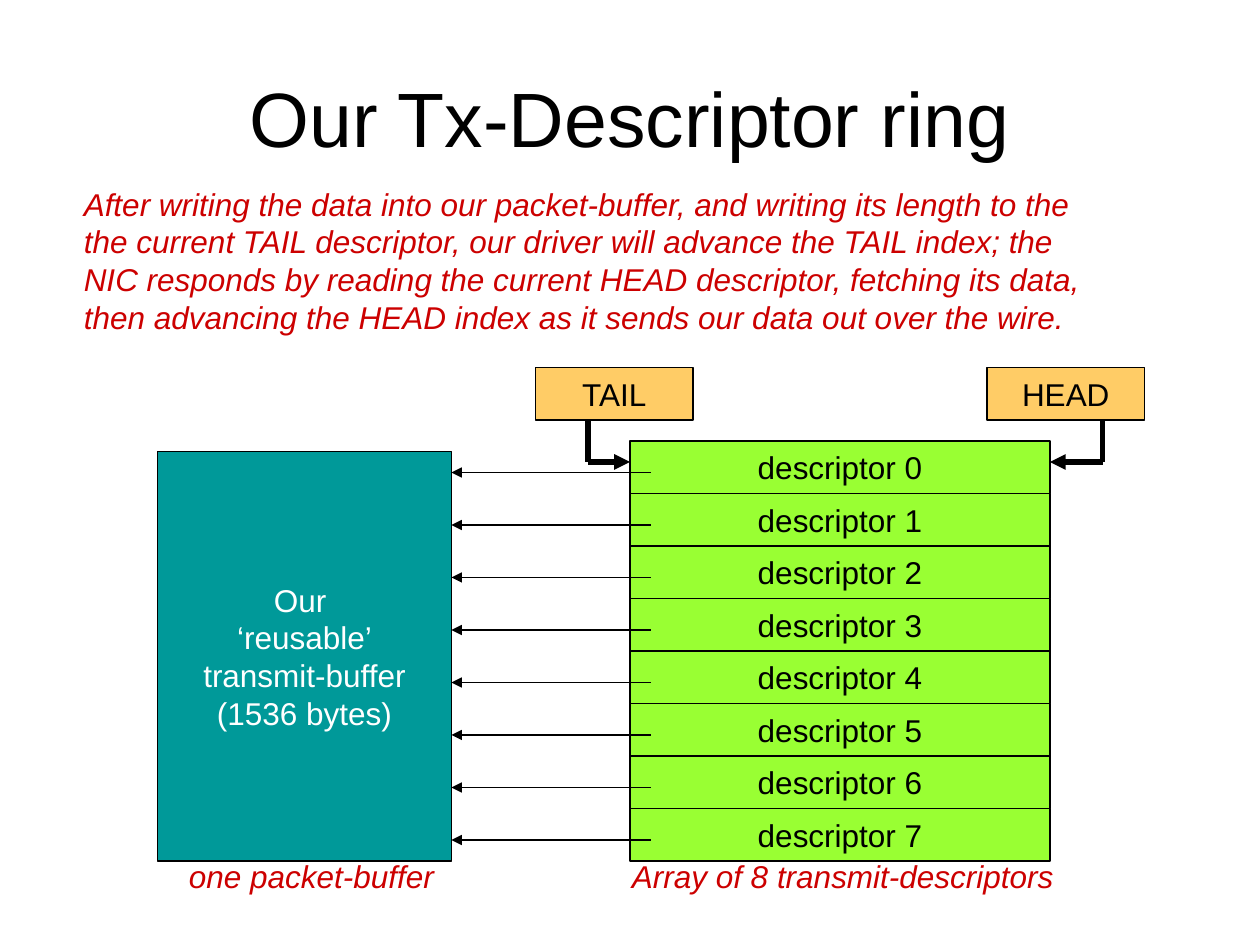
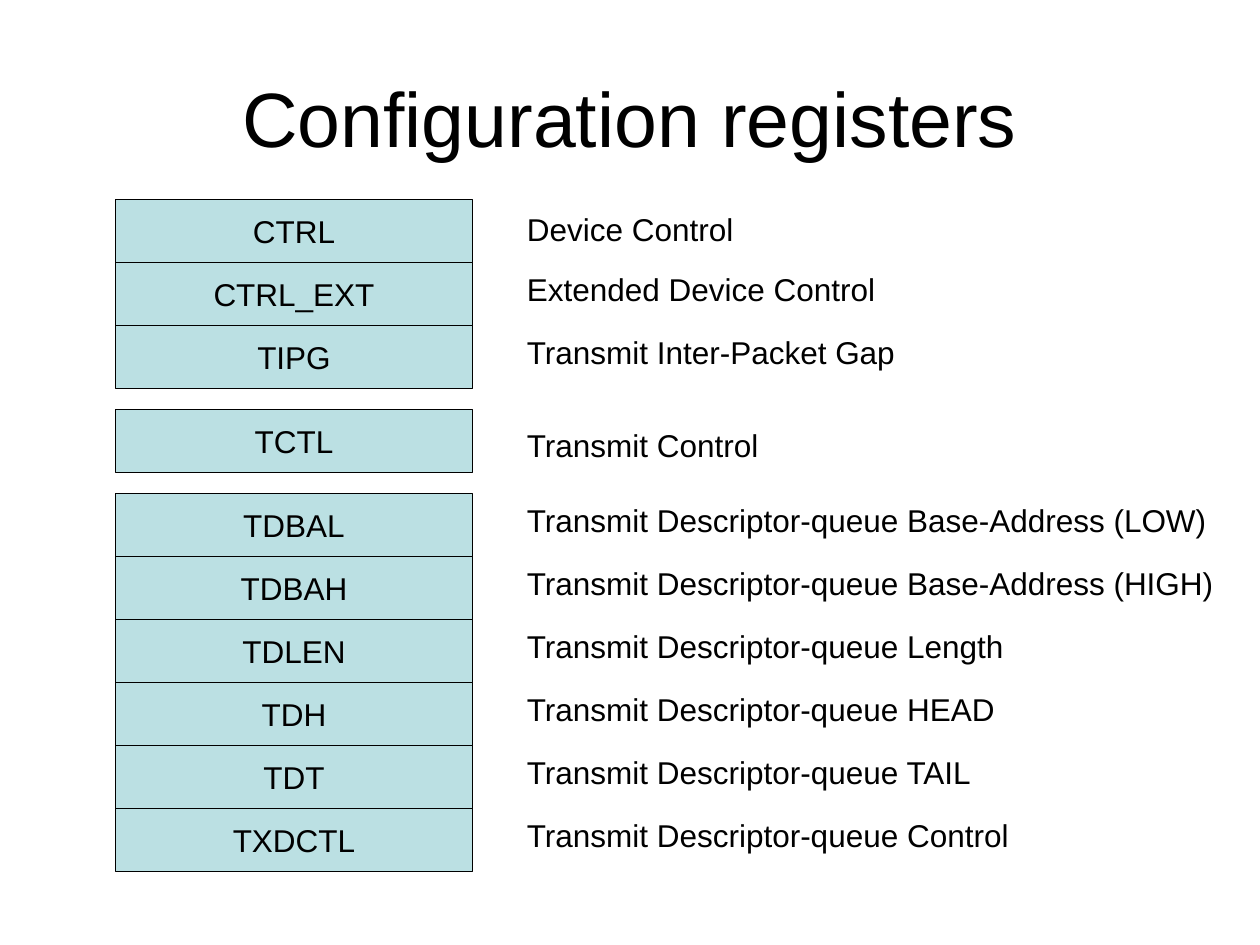
from dataclasses import dataclass

from lxml.etree import SubElement
from pptx import Presentation
from pptx.dml.color import RGBColor
from pptx.enum.shapes import MSO_CONNECTOR, MSO_SHAPE
from pptx.enum.text import MSO_ANCHOR, PP_ALIGN
from pptx.oxml.ns import qn
from pptx.util import Inches, Pt

COLORS = {
    "ink": "000000",
    "paper": "FFFFFF",
    "note": "CC0000",
    "descriptor": "99FF33",
    "buffer": "009999",
    "index": "FFCC66",
    "register": "BBE0E3",
}
FONT = "Arial"
BODY_SIZE = 18
TITLE_SIZE = 44
SLIDE_WIDTH = Inches(10)
SLIDE_HEIGHT = Inches(7.5)
GRID_COLUMNS = 120
GRID_ROWS = 90
CAPTION_ROWS = 4.8


@dataclass(frozen=True)
class Area:
    column: float
    row: float
    columns: float
    rows: float


@dataclass(frozen=True)
class IndexPointer:
    name: str
    box_column: float
    stem_column: float
    tip_column: float


@dataclass(frozen=True)
class Register:
    name: str
    meaning: str
    meaning_columns: float
    meaning_drop: float = 0.12


TITLE_AREA = Area(6, 3.6, 108, 15)

DESCRIPTOR_COUNT = 8
DESCRIPTORS = Area(60, 42, 40, 5)
BUFFER = Area(15, 43, 28, 39)
CAPTION_ROW = 81
POINTER_ROW = 35
POINTER_TIP_ROW = 44
POINTERS = [
    IndexPointer("HEAD", 94, 105, 100),
    IndexPointer("TAIL", 51, 56, 60),
]
EXPLANATION = """After writing the data into our packet-buffer, and writing its length to the
the current TAIL descriptor, our driver will advance the TAIL index; the
NIC responds by reading the current HEAD descriptor, fetching its data,
then advancing the HEAD index as it sends our data out over the wire."""
BUFFER_TEXT = "Our \n‘reusable’\ntransmit-buffer\n(1536 bytes)"

FIRST_REGISTER_ROW = 19
REGISTER_ROWS = 6
GROUP_GAP = 2
REGISTER_GROUPS = [
    [
        Register("CTRL", "Device Control", 23, 0.45),
        Register("CTRL_EXT", "Extended Device Control", 36.4),
        Register("TIPG", "Transmit Inter-Packet Gap", 38.4),
    ],
    [Register("TCTL", "Transmit Control", 25.4, 1)],
    [
        Register("TDBAL", "Transmit Descriptor-queue Base-Address (LOW)", 68),
        Register("TDBAH", "Transmit Descriptor-queue Base-Address (HIGH)", 68.8),
        Register("TDLEN", "Transmit Descriptor-queue Length", 48.8),
        Register("TDH", "Transmit Descriptor-queue HEAD", 48),
        Register("TDT", "Transmit Descriptor-queue TAIL", 46),
        Register("TXDCTL", "Transmit Descriptor-queue Control", 49.2),
    ],
]


def color(name: str) -> RGBColor:
    return RGBColor.from_string(COLORS[name])


def across(columns: float) -> int:
    return round(SLIDE_WIDTH * columns / GRID_COLUMNS)


def down(rows: float) -> int:
    return round(SLIDE_HEIGHT * rows / GRID_ROWS)


def place(area: Area) -> tuple[int, int, int, int]:
    return across(area.column), down(area.row), across(area.columns), down(area.rows)


def write(box, text: str, ink: str, size: float = BODY_SIZE,
          centered: bool = False, italic: bool = False) -> None:
    frame = box.text_frame
    frame.text = text
    frame.word_wrap = True
    frame.vertical_anchor = MSO_ANCHOR.MIDDLE if centered else MSO_ANCHOR.TOP
    for paragraph in frame.paragraphs:
        paragraph.alignment = PP_ALIGN.CENTER if centered else PP_ALIGN.LEFT
        for span in paragraph.runs:
            span.font.name = FONT
            span.font.size = Pt(size)
            span.font.italic = italic
            span.font.color.rgb = color(ink)


def add_label(page, area: Area, text: str, ink: str = "ink", **style):
    box = page.shapes.add_textbox(*place(area))
    write(box, text, ink, **style)
    return box


def add_block(page, area: Area, text: str, fill: str, ink: str = "ink") -> None:
    box = page.shapes.add_shape(MSO_SHAPE.RECTANGLE, *place(area))
    box.shadow.inherit = False
    box.fill.solid()
    box.fill.fore_color.rgb = color(fill)
    box.line.color.rgb = color("ink")
    box.line.width = Pt(0.75)
    write(box, text, ink, centered=True)


def add_line(page, start: tuple[float, float], end: tuple[float, float],
             width: float = 0.75, arrow: bool = False) -> None:
    line = page.shapes.add_connector(
        MSO_CONNECTOR.STRAIGHT,
        across(start[0]), down(start[1]), across(end[0]), down(end[1]),
    )
    line.line.color.rgb = color("ink")
    line.line.width = Pt(width)
    if arrow:
        SubElement(line.line._get_or_add_ln(), qn("a:tailEnd"), type="triangle")
    SubElement(line._element.spPr, qn("a:effectLst"))


def add_page(deck, title: str):
    page = deck.slides.add_slide(deck.slide_layouts[6])
    add_label(page, TITLE_AREA, title, size=TITLE_SIZE, centered=True)
    return page


def add_pointer(page, pointer: IndexPointer) -> None:
    area = Area(pointer.box_column, POINTER_ROW, 15, 5)
    add_block(page, area, pointer.name, "index")
    corner = (pointer.stem_column, POINTER_TIP_ROW)
    add_line(page, corner, (pointer.tip_column, POINTER_TIP_ROW), 3, arrow=True)
    add_line(page, corner, (pointer.stem_column, area.row + area.rows), 3)


def build_ring_page(deck) -> None:
    page = add_page(deck, "Our Tx-Descriptor ring")
    add_block(page, BUFFER, BUFFER_TEXT, "buffer", "paper")
    for number in range(DESCRIPTOR_COUNT):
        row = DESCRIPTORS.row + number * DESCRIPTORS.rows
        area = Area(DESCRIPTORS.column, row, DESCRIPTORS.columns, DESCRIPTORS.rows)
        add_block(page, area, f"descriptor {number}", "descriptor")
        add_line(page, (DESCRIPTORS.column + 2, row + 3),
                 (BUFFER.column + BUFFER.columns, row + 3), arrow=True)
    add_label(page, Area(59, CAPTION_ROW, 43, CAPTION_ROWS),
              "Array of 8 transmit-descriptors", "note", italic=True)
    add_label(page, Area(16.8, CAPTION_ROW, 26, CAPTION_ROWS),
              "one packet-buffer", "note", italic=True)
    for pointer in POINTERS:
        add_pointer(page, pointer)
    explanation = add_label(page, Area(6.8, 17, 98, 15.6), EXPLANATION, "note", italic=True)
    explanation.fill.solid()
    explanation.fill.fore_color.rgb = color("paper")


def build_registers_page(deck) -> None:
    page = add_page(deck, "Configuration registers")
    row = FIRST_REGISTER_ROW
    for group in REGISTER_GROUPS:
        for register in group:
            add_block(page, Area(11, row, 34, REGISTER_ROWS), register.name, "register")
            meaning_area = Area(49, row + register.meaning_drop,
                                register.meaning_columns, CAPTION_ROWS)
            add_label(page, meaning_area, register.meaning)
            row += REGISTER_ROWS
        row += GROUP_GAP


def main() -> None:
    deck = Presentation()
    deck.slide_width = SLIDE_WIDTH
    deck.slide_height = SLIDE_HEIGHT
    build_ring_page(deck)
    build_registers_page(deck)
    deck.save("out.pptx")


if __name__ == "__main__":
    main()
